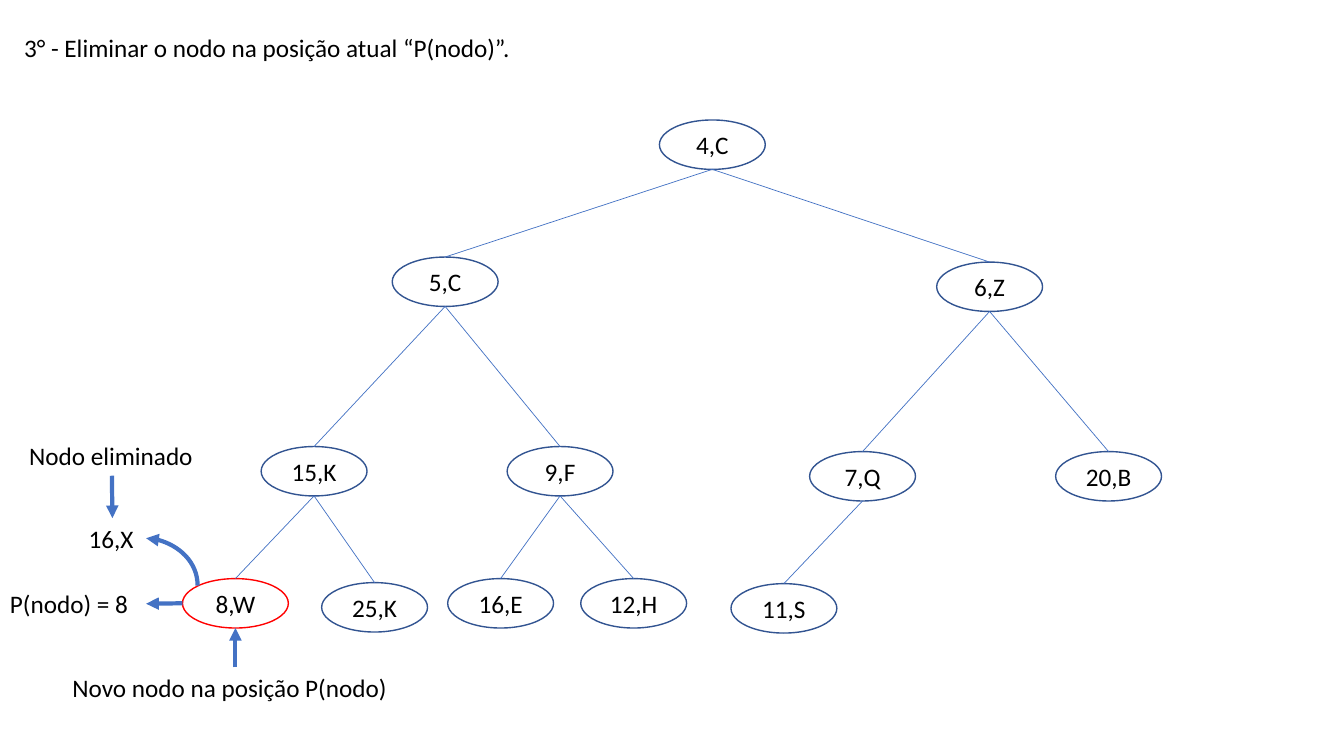
import dataclasses

import pptx
import pptx.dml.color
import pptx.enum.shapes
import pptx.enum.text
import pptx.oxml
import pptx.oxml.ns
import pptx.util

TOP, LEFT, BOTTOM, RIGHT = range(4)
NODE_WIDTH, NODE_HEIGHT, LABEL_HEIGHT = 105, 49, 40


@dataclasses.dataclass(frozen=True)
class Theme:
    font: str = "Calibri"
    text_size: int = 18
    text: str = "000000"
    node_fill: str = "FFFFFF"
    node_line: str = "325491"
    current_line: str = "FF0000"
    link: str = "4472C4"
    node_weight: float = 1
    edge_weight: float = 0.5
    arrow_weight: float = 3


def px(length):
    return pptx.util.Emu(length * 9144)


def color(value):
    return pptx.dml.color.RGBColor.from_string(value)


def element(tag):
    return pptx.oxml.parse_xml(f"<{tag} {pptx.oxml.ns.nsdecls('a')}/>")


class TreePage:
    def __init__(self, page, theme):
        self.shapes = page.shapes
        self.theme = theme

    def put_text(self, box, text, alignment):
        frame = box.text_frame
        frame.word_wrap = True
        para = frame.paragraphs[0]
        para.alignment = alignment
        span = para.add_run()
        span.text = text
        span.font.name = self.theme.font
        span.font.size = pptx.util.Pt(self.theme.text_size)
        span.font.color.rgb = color(self.theme.text)

    def label(self, text, left, top, width):
        box = self.shapes.add_textbox(px(left), px(top), px(width), px(LABEL_HEIGHT))
        self.put_text(box, text, pptx.enum.text.PP_ALIGN.LEFT)
        return box

    def node(self, text, left, top, line):
        oval = self.shapes.add_shape(
            pptx.enum.shapes.MSO_SHAPE.OVAL,
            px(left), px(top), px(NODE_WIDTH), px(NODE_HEIGHT))
        oval.shadow.inherit = False
        oval.fill.solid()
        oval.fill.fore_color.rgb = color(self.theme.node_fill)
        oval.line.color.rgb = color(line)
        oval.line.width = pptx.util.Pt(self.theme.node_weight)
        oval.text_frame.vertical_anchor = pptx.enum.text.MSO_ANCHOR.MIDDLE
        self.put_text(oval, text, pptx.enum.text.PP_ALIGN.CENTER)
        return oval

    def connector(self, kind, ends, weight):
        link = self.shapes.add_connector(kind, *(px(value) for value in ends))
        link.line.color.rgb = color(self.theme.link)
        link.line.width = pptx.util.Pt(weight)
        link.element.spPr.append(element("a:effectLst"))
        return link

    def add_head(self, link, tag):
        head = element(tag)
        head.set("type", "triangle")
        link.element.spPr.find(pptx.oxml.ns.qn("a:ln")).append(head)

    def join(self, start, start_side, end, end_side, weight):
        link = self.connector(
            pptx.enum.shapes.MSO_CONNECTOR.STRAIGHT, (0, 0, 0, 0), weight)
        link.begin_connect(start, start_side)
        link.end_connect(end, end_side)
        for tag, shape, side in (("a:stCxn", start, start_side), ("a:endCxn", end, end_side)):
            if shape.shape_type == pptx.enum.shapes.MSO_SHAPE_TYPE.AUTO_SHAPE:
                site = next(link.element.iter(pptx.oxml.ns.qn(tag)))
                site.set("idx", str(side * 2))
        return link

    def edge(self, parent, child):
        self.join(parent, BOTTOM, child, TOP, self.theme.edge_weight)

    def arrow(self, start, start_side, end, end_side):
        link = self.join(start, start_side, end, end_side, self.theme.arrow_weight)
        self.add_head(link, "a:tailEnd")

    def curved_arrow(self, tip_x, tip_y, origin_x, origin_y):
        link = self.connector(
            pptx.enum.shapes.MSO_CONNECTOR.CURVE,
            (tip_x, tip_y, origin_x, origin_y), self.theme.arrow_weight)
        link.element.spPr.find(pptx.oxml.ns.qn("a:prstGeom")).set("prst", "curvedConnector2")
        self.add_head(link, "a:headEnd")


NODES = {
    "4,C": (654, 119),
    "6,Z": (929, 260),
    "7,Q": (803, 448),
    "20,B": (1047, 448),
    "11,S": (725, 579),
    "5,C": (389, 255),
    "15,K": (259, 443),
    "9,F": (503, 443),
    "8,W": (181, 574),
    "25,K": (319, 578),
    "16,E": (444, 574),
    "12,H": (576, 574),
}
CHILDREN = {
    "4,C": ("5,C", "6,Z"),
    "5,C": ("15,K", "9,F"),
    "6,Z": ("7,Q", "20,B"),
    "15,K": ("8,W", "25,K"),
    "9,F": ("16,E", "12,H"),
    "7,Q": ("11,S",),
}
CURRENT = "8,W"


def main():
    deck = pptx.Presentation()
    deck.slide_width, deck.slide_height = px(1333), px(750)
    theme = Theme()
    tree = TreePage(deck.slides.add_slide(deck.slide_layouts[6]), theme)

    nodes = {
        name: tree.node(
            name, left, top,
            theme.current_line if name == CURRENT else theme.node_line)
        for name, (left, top) in NODES.items()
    }
    for parent, children in CHILDREN.items():
        for child in children:
            tree.edge(nodes[parent], nodes[child])

    tree.label("3° - Eliminar o nodo na posição atual “P(nodo)”.", 14, 27, 968)
    position = tree.label("P(nodo) = 8", 0, 579, 145)
    removed = tree.label("16,X", 78, 514, 67)
    removed_title = tree.label("Nodo eliminado", 19, 432, 184)
    new_title = tree.label("Novo nodo na posição P(nodo)", 62, 662, 343)

    tree.arrow(nodes[CURRENT], LEFT, position, RIGHT)
    tree.arrow(removed_title, BOTTOM, removed, TOP)
    tree.arrow(new_title, TOP, nodes[CURRENT], BOTTOM)
    tree.curved_arrow(145, 534, 196, 581)

    deck.save("out.pptx")


if __name__ == "__main__":
    main()
